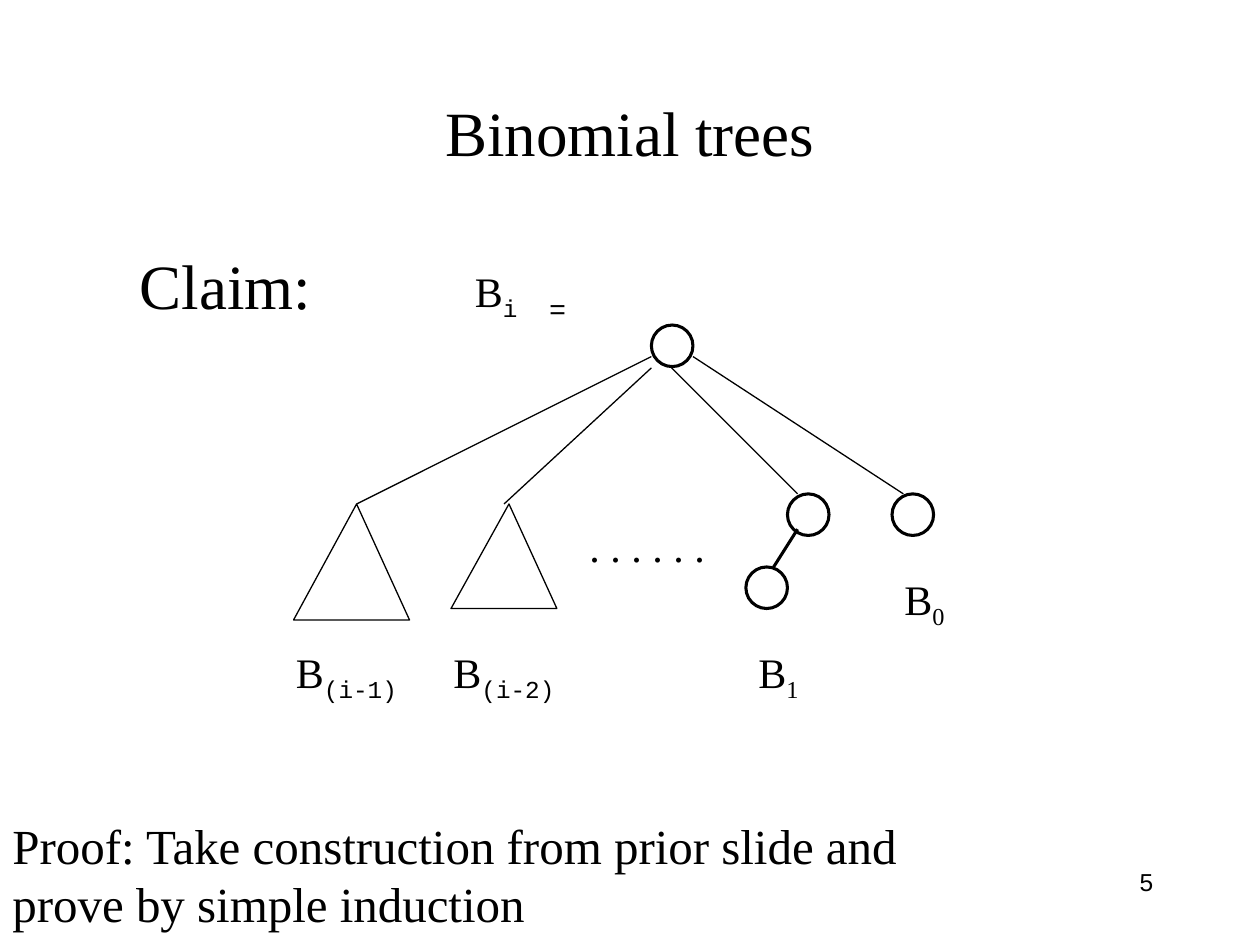
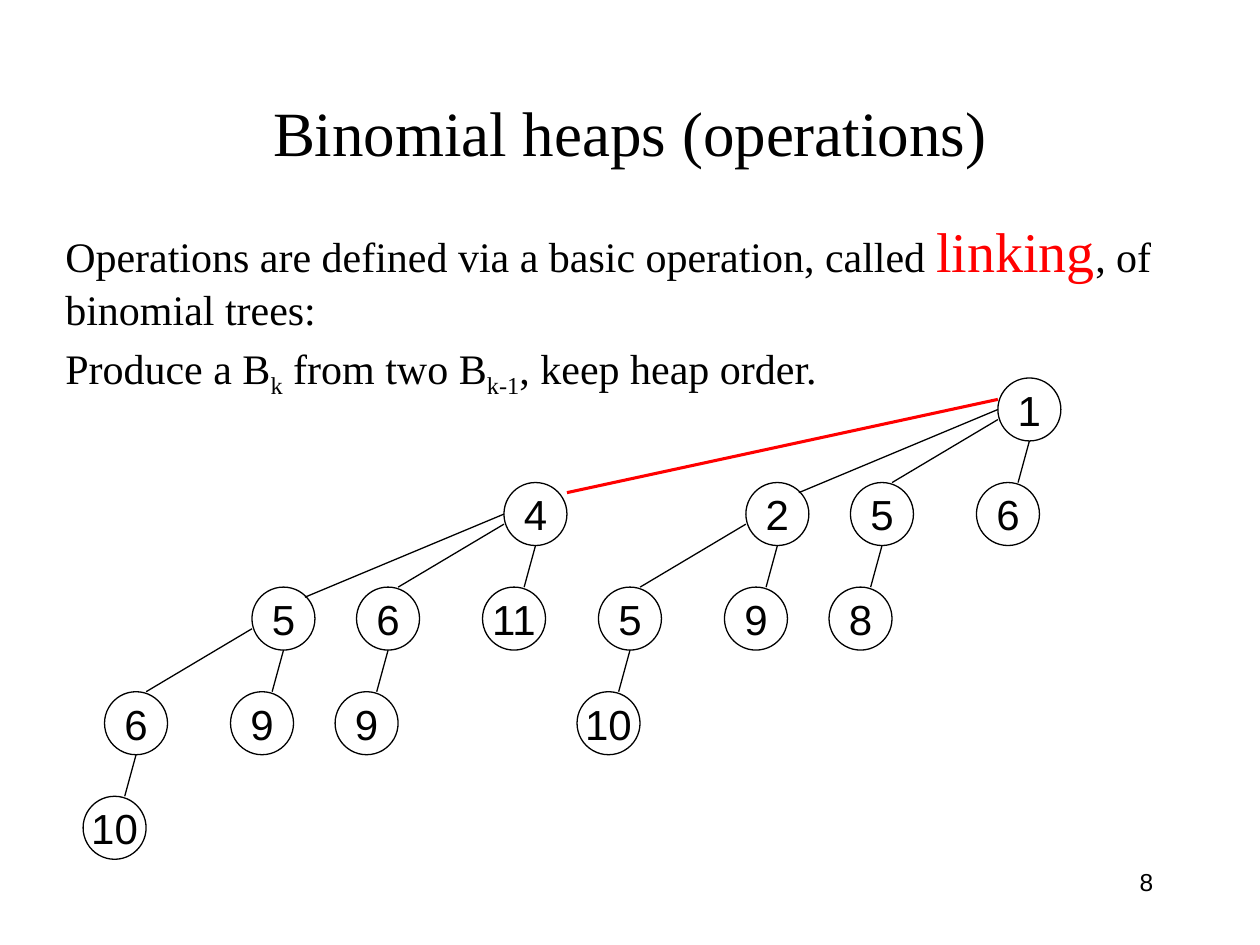
import pptx
import pptx.util
import pptx.dml.color
import pptx.enum.shapes
import pptx.enum.text
import pptx.oxml.ns
import lxml.etree

Inches = pptx.util.Inches
Pt = pptx.util.Pt
ALIGN = pptx.enum.text.PP_ALIGN
ANCHOR = pptx.enum.text.MSO_ANCHOR
qn = pptx.oxml.ns.qn

BLACK = pptx.dml.color.RGBColor(0x00, 0x00, 0x00)
RED = pptx.dml.color.RGBColor(0xFF, 0x00, 0x00)
SERIF = "Times New Roman"
MONO = "Courier New"
NUMERAL = "Arial"  # complex-script face for right-to-left numbers
THIN, THICK = 0.75, 1.75


def add_text(page, area, *paragraphs, size=24, align=ALIGN.LEFT, anchor=ANCHOR.TOP,
             before=0, rtl=False, tab=None, circle=None):
    """Add a text box, or a circle of the given line width; a span is (text, format)."""
    area = [Inches(value) for value in area]
    if circle:
        box = page.shapes.add_shape(pptx.enum.shapes.MSO_SHAPE.OVAL, *area)
        box.shadow.inherit = False
        box.fill.background()
        box.line.color.rgb = BLACK
        box.line.width = Pt(circle)
    else:
        box = page.shapes.add_textbox(*area)
    frame = box.text_frame
    frame.word_wrap = not circle
    frame.vertical_anchor = anchor
    for index, spans in enumerate(paragraphs):
        para = frame.paragraphs[0] if index == 0 else frame.add_paragraph()
        para.alignment = align
        if index:
            para.space_before = Pt(before)
        properties = para._p.get_or_add_pPr()
        if rtl:
            properties.set("rtl", "1")
        if tab:
            stops = lxml.etree.SubElement(properties, qn("a:tabLst"))
            lxml.etree.SubElement(stops, qn("a:tab"), pos=str(Inches(tab)), algn="l")
        for text, style in spans:
            span = para.add_run()
            span.text = text
            span.font.size = Pt(style.get("size", size))
            span.font.name = style.get("font", SERIF)
            span.font.color.rgb = style.get("color", BLACK)
            run_properties = span._r.get_or_add_rPr()
            if style.get("sub"):
                run_properties.set("baseline", "-25000")
            if rtl:
                lxml.etree.SubElement(run_properties, qn("a:cs"), typeface=NUMERAL)


def add_line(page, start, end, color=BLACK, width=THIN):
    line = page.shapes.add_connector(
        pptx.enum.shapes.MSO_CONNECTOR.STRAIGHT,
        *[Inches(value) for value in (*start, *end)])
    line.line.color.rgb = color
    line.line.width = Pt(width)
    lxml.etree.SubElement(line._element.spPr, qn("a:effectLst"))


deck = pptx.Presentation()
deck.slide_width, deck.slide_height = Inches(10), Inches(7.5)

# Title and page number on both slides
pages = []
for title, number in (("Binomial trees", "5"), ("Binomial heaps (operations)", "8")):
    page = deck.slides.add_slide(deck.slide_layouts[6])
    add_text(page, (0.75, 0.42, 8.5, 1.25), [(title, {})],
             size=36, align=ALIGN.CENTER, anchor=ANCHOR.MIDDLE)
    add_text(page, (7.17, 6.83, 2.08, 0.5), [(number, {})],
             size=14, align=ALIGN.RIGHT, rtl=True)
    pages.append(page)
claim_page, heap_page = pages

# Claim, equation and proof
add_text(claim_page, (0.83, 1.42, 1.92, 1.67), [("Claim:", {})],
         size=36, align=ALIGN.CENTER, anchor=ANCHOR.MIDDLE)
add_text(claim_page, (3.67, 2, 1.25, 0.63),
         [("B", {}), ("i", {"font": MONO, "sub": True}),
          ("\t=", {"font": MONO, "sub": True, "size": 28})], tab=0.59)
add_text(claim_page, (0, 6.42, 8.08, 1.04),
         [("Proof: Take construction from prior slide and prove by simple induction", {})],
         size=28)

# Root and the single nodes of B1 and B0
for left, top in ((5.17, 2.58), (6.25, 3.92), (5.92, 4.5), (7.08, 3.92)):
    add_text(claim_page, (left, top, 0.33, 0.33), circle=THICK)
add_line(claim_page, (6.33, 4.2), (6.14, 4.5), width=THICK)

# Subtrees drawn as triangles
for corners in (((2.83, 4), (2.33, 4.92), (3.25, 4.92)),
                ((4.04, 4), (3.58, 4.83), (4.42, 4.83))):
    apex, *base = [(Inches(x), Inches(y)) for x, y in corners]
    outline = claim_page.shapes.build_freeform(*apex)
    outline.add_line_segments(base, close=True)
    triangle = outline.convert_to_shape()
    triangle.shadow.inherit = False
    triangle.fill.background()
    triangle.line.color.rgb = BLACK
    triangle.line.width = Pt(THIN)

# Branches from the root
for start, end in (((5.17, 2.83), (2.83, 4)), ((5.17, 2.92), (4, 4)),
                   ((5.33, 2.92), (6.33, 3.92)), ((5.5, 2.83), (7.17, 3.92))):
    add_line(claim_page, start, end)

# Subtree names
for left, top, width, order, font in (
        (2.25, 5.08, 1.25, "(i-1)", MONO), (3.5, 5.08, 1.25, "(i-2)", MONO),
        (5.92, 5.08, 0.58, "1", SERIF), (7.08, 4.5, 0.58, "0", SERIF)):
    add_text(claim_page, (left, top, width, 0.56),
             [("B", {}), (order, {"font": font, "sub": True})])
add_text(claim_page, (4.58, 4.08, 1.25, 0.5), [(". . . . . .", {})])

# Definition of linking
add_text(heap_page, (0.42, 1.67, 9.17, 1.55),
         [("Operations are defined via a basic operation, called ", {}),
          ("linking", {"size": 32, "color": RED}),
          (", of binomial trees:", {})],
         [("Produce a B", {}), ("k", {"sub": True}), (" from two B", {}),
          ("k-1", {"sub": True}), (", keep heap order.", {})],
         before=4.5)

# Linked heap: each node is (key, children), the children in order of rank
heap = ("1", [
    ("6", []),
    ("5", [("8", [])]),
    ("2", [("9", []), ("5", [("10", [])])]),
    ("4", [("11", []),
           ("6", [("9", [])]),
           ("5", [("9", []), ("6", [("10", [])])])]),
])
NODE, LEVEL = 0.5, 0.83
# By rank: shift of the child, then where the edge leaves the parent and meets the child
EDGES = [
    (-0.17, (0.25, 0.5), (0.33, 0), BLACK, THIN),
    (-1.17, (0, 0.33), (0.33, 0), BLACK, THIN),
    (-2, (0, 0.25), (0.42, 0.08), BLACK, THIN),
    (-3.92, (0, 0.17), (0.5, 0.08), RED, THICK),
]
waiting = [(heap, 7.92, 3)]
while waiting:
    (key, children), left, top = waiting.pop()
    add_text(heap_page, (left, top, NODE, NODE), [(key, {})], align=ALIGN.CENTER,
             anchor=ANCHOR.MIDDLE, rtl=True, circle=THIN)
    for child, (shift, leave, meet, color, width) in zip(children, EDGES):
        child_left, child_top = left + shift, top + LEVEL
        add_line(heap_page, (left + leave[0], top + leave[1]),
                 (child_left + meet[0], child_top + meet[1]), color, width)
        waiting.append((child, child_left, child_top))

deck.save("out.pptx")
